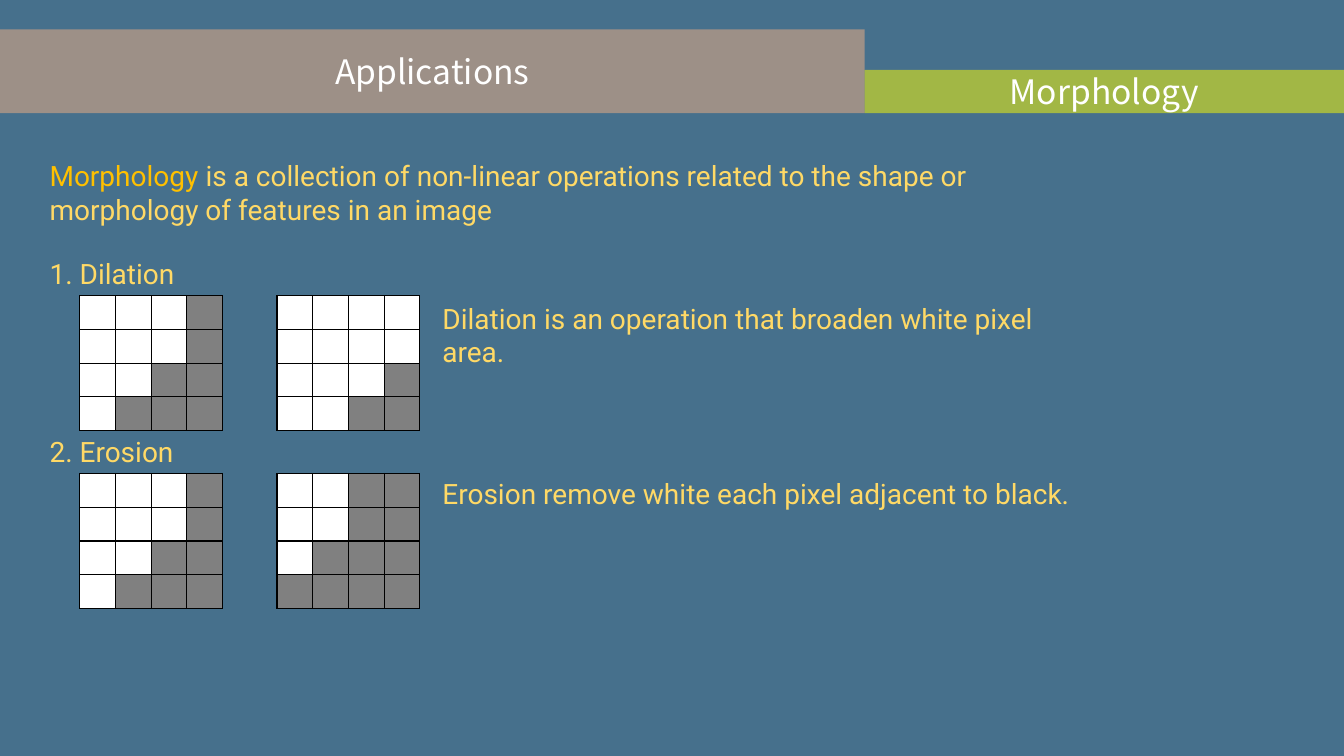
import pptx
import pptx.dml.color
import pptx.enum.shapes
import pptx.enum.text
import pptx.oxml.ns
import pptx.util
from lxml import etree

Cm, Pt = pptx.util.Cm, pptx.util.Pt

# Content
TITLE = "Applications"
TOPIC = "Morphology"
INTRO = [
    ("Morphology", "FFC000"),
    (" is a collection of non-linear operations related to the shape or "
     "morphology of features in an image", "FFD966"),
]
# Each grid lists the number of white pixels at the start of every row
OPERATIONS = [
    {"heading": "1. Dilation", "grid_top": 7.45, "note_top": 7.47,
     "note": "Dilation is an operation that broaden white pixel area.",
     "grids": [(3, 3, 2, 1), (4, 4, 3, 2)]},
    {"heading": "2. Erosion", "grid_top": 11.93, "note_top": 11.89,
     "note": "Erosion remove white each pixel adjacent to black.",
     "grids": [(3, 3, 2, 1), (2, 2, 1, 0)]},
]

# Layout in centimetres
TEXT_LEFT, NOTE_LEFT = 1, 10.9
TEXT_WIDTH, TEXT_HEIGHT = 17.08, 1.11
GRID_LEFT, GRID_STEP = 2.01, 4.97
GRID_SIZE, PIXEL_WIDTH, PIXEL_HEIGHT = 4, 0.9, 0.85
HEADING_RISE = 1.1


def colour(value):
    return pptx.dml.color.RGBColor.from_string(value)


def paint(fill, value, alpha=None):
    fill.solid()
    fill.fore_color.rgb = colour(value)
    if alpha is not None:
        tint = fill._xPr.find(".//" + pptx.oxml.ns.qn("a:srgbClr"))
        etree.SubElement(tint, pptx.oxml.ns.qn("a:alpha"), val=str(alpha * 1000))


def style(span, size, font, value):
    span.font.size = Pt(size)
    span.font.name = font
    span.font.color.rgb = colour(value)


def format_banner(banner, text, value):
    paint(banner.fill, value, alpha=50)
    banner.line.fill.background()
    frame = banner.text_frame
    frame.text = text
    frame.word_wrap = True
    frame.auto_size = pptx.enum.text.MSO_AUTO_SIZE.NONE
    frame.vertical_anchor = pptx.enum.text.MSO_ANCHOR.MIDDLE
    para = frame.paragraphs[0]
    para.alignment = pptx.enum.text.PP_ALIGN.CENTER
    style(para.runs[0], 24, "Noto Sans CJK KR", "FFFFFF")


def add_text(page, spans, left, top, width=TEXT_WIDTH, height=TEXT_HEIGHT):
    box = page.shapes.add_textbox(Cm(left), Cm(top), Cm(width), Cm(height))
    box.text_frame.word_wrap = True
    para = box.text_frame.paragraphs[0]
    for text, value in spans:
        span = para.add_run()
        span.text = text
        style(span, 20, "Roboto", value)


def add_borders(cell):
    properties = cell._tc.get_or_add_tcPr()
    for side in ("a:lnL", "a:lnR", "a:lnT", "a:lnB"):
        line = etree.SubElement(properties, pptx.oxml.ns.qn(side), w=str(Pt(1)))
        fill = etree.SubElement(line, pptx.oxml.ns.qn("a:solidFill"))
        etree.SubElement(fill, pptx.oxml.ns.qn("a:srgbClr"), val="000000")


def add_pixel_grid(page, white_counts, left, top):
    table = page.shapes.add_table(
        GRID_SIZE, GRID_SIZE, Cm(left), Cm(top),
        Cm(GRID_SIZE * PIXEL_WIDTH), Cm(GRID_SIZE * PIXEL_HEIGHT)).table
    for column in table.columns:
        column.width = Cm(PIXEL_WIDTH)
    for row, white_count in zip(table.rows, white_counts):
        row.height = Cm(PIXEL_HEIGHT)
        for index, cell in enumerate(row.cells):
            cell.margin_top = cell.margin_bottom = 0
            add_borders(cell)
            paint(cell.fill, "FFFFFF" if index < white_count else "808080")


def main():
    deck = pptx.Presentation()
    deck.slide_width, deck.slide_height = Cm(33.87), Cm(19.05)
    page = deck.slides.add_slide(deck.slide_layouts[5])
    paint(page.background.fill, "46708C")

    # Banners
    title = page.shapes.title
    title.left, title.top = Cm(0), Cm(0.74)
    title.width, title.height = Cm(21.79), Cm(2.11)
    format_banner(title, TITLE, "F4B183")
    topic = page.shapes.add_shape(
        pptx.enum.shapes.MSO_SHAPE.RECTANGLE,
        Cm(21.79), Cm(1.76), Cm(12.08), Cm(1.09))
    topic.shadow.inherit = False
    format_banner(topic, TOPIC, "FFFF00")

    # Definition
    add_text(page, INTRO, TEXT_LEFT, 3.88, width=25.9, height=1.96)

    # Operations: heading, pixel grids before and after, explanation
    for operation in OPERATIONS:
        top = operation["grid_top"]
        add_text(page, [(operation["heading"], "FFD966")],
                 TEXT_LEFT, top - HEADING_RISE)
        for index, white_counts in enumerate(operation["grids"]):
            add_pixel_grid(page, white_counts, GRID_LEFT + index * GRID_STEP, top)
        add_text(page, [(operation["note"], "FFD966")],
                 NOTE_LEFT, operation["note_top"])

    deck.save("out.pptx")


if __name__ == "__main__":
    main()
